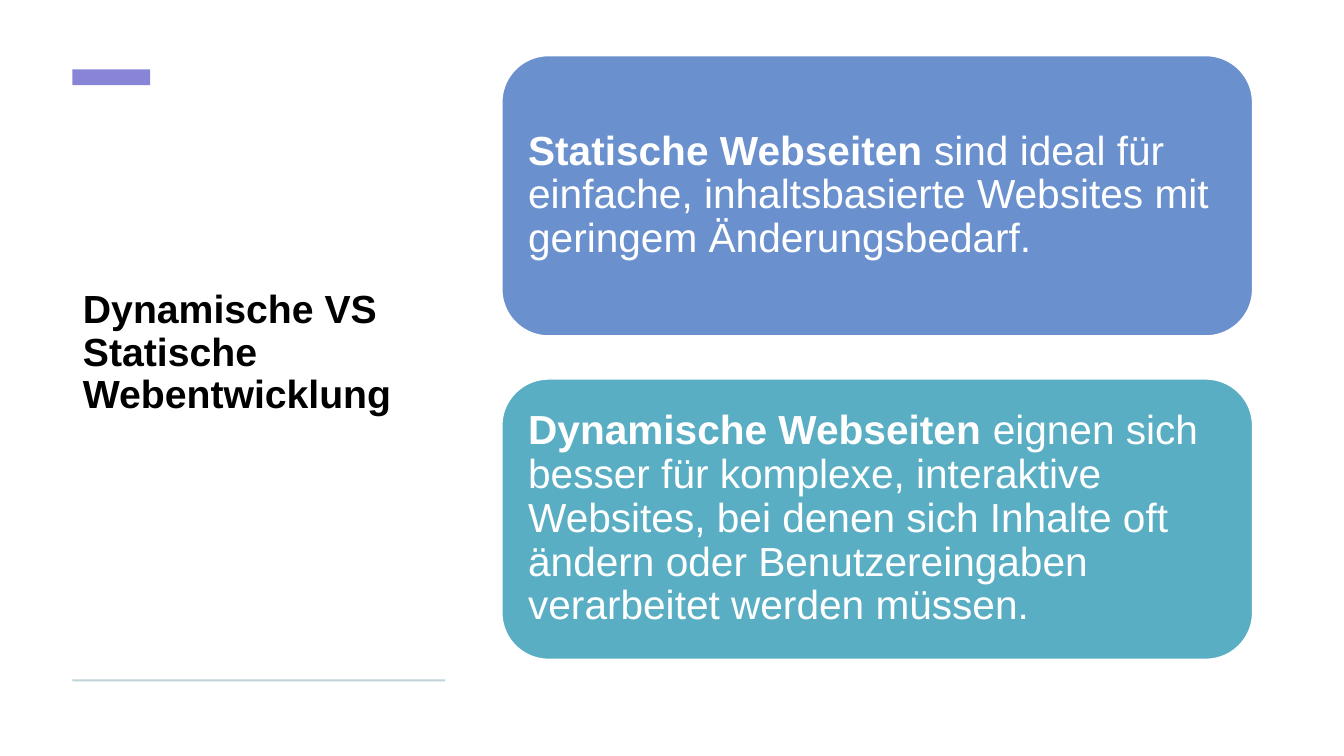
import pptx
import pptx.util
import pptx.dml.color
import pptx.enum.shapes
import pptx.enum.text
from dataclasses import dataclass

PX = 9525
KIND = pptx.enum.shapes.MSO_SHAPE


@dataclass(frozen=True)
class Theme:
    font: str = "Arial"
    white: str = "FFFFFF"
    black: str = "000000"
    accent: str = "8885D7"
    rule: str = "BED3DA"
    blue: str = "6A90CE"
    teal: str = "5AAEC3"
    title: int = 28
    body: int = 29
    edge: int = 1
    lead: float = 0.9


THEME = Theme()


def color(code):
    return pptx.dml.color.RGBColor.from_string(code)


def add_shape(slide, kind, box, fill, edge=None):
    shape = slide.shapes.add_shape(kind, *(n * PX for n in box))
    shape.shadow.inherit = False
    shape.fill.solid()
    shape.fill.fore_color.rgb = color(fill)
    if edge:
        shape.line.color.rgb = color(edge)
        shape.line.width = pptx.util.Pt(THEME.edge)
    else:
        shape.line.fill.background()
    return shape


def set_text(shape, runs, size, tint, inset):
    frame = shape.text_frame
    frame.word_wrap = True
    frame.vertical_anchor = pptx.enum.text.MSO_ANCHOR.MIDDLE
    sides = ("left", "top", "right", "bottom")
    for side, gap in zip(sides, inset):
        setattr(frame, f"margin_{side}", gap * PX)
    para = frame.paragraphs[0]
    para.alignment = pptx.enum.text.PP_ALIGN.LEFT
    para.line_spacing = THEME.lead
    for text, bold in runs:
        run = para.add_run()
        run.text = text
        run.font.name = THEME.font
        run.font.size = pptx.util.Pt(size)
        run.font.bold = bold
        run.font.color.rgb = color(tint)


def add_title(slide, text, box):
    shape = slide.shapes.add_textbox(*(n * PX for n in box))
    set_text(shape, [(text, True)], THEME.title, THEME.black, (10, 5, 10, 53))


def add_card(slide, box, fill, term, text):
    card = add_shape(slide, KIND.ROUNDED_RECTANGLE, box, fill, THEME.white)
    runs = [(term, True), (text, False)]
    set_text(card, runs, THEME.body, THEME.white, (12, 12, 12, 12))


def main():
    deck = pptx.Presentation()
    deck.slide_width = 1280 * PX
    deck.slide_height = 720 * PX
    slide = deck.slides.add_slide(deck.slide_layouts[6])

    left, width = 69, 355
    add_title(slide, "Dynamische VS Statische Webentwicklung",
              (left, 101, width, 519))
    add_shape(slide, KIND.RECTANGLE, (left, 66, 74, 15), THEME.accent)
    add_shape(slide, KIND.RECTANGLE, (left, 647, width, 2), THEME.rule)

    cards = [
        (THEME.blue, "Statische Webseiten",
         " sind ideal für einfache, inhaltsbasierte Websites mit "
         "geringem Änderungsbedarf."),
        (THEME.teal, "Dynamische Webseiten",
         " eignen sich besser für komplexe, interaktive Websites, "
         "bei denen sich Inhalte oft ändern oder Benutzereingaben "
         "verarbeitet werden müssen."),
    ]
    top, high, gap = 53, 267, 41
    for row, (fill, term, text) in enumerate(cards):
        box = (478, top + row * (high + gap), 715, high)
        add_card(slide, box, fill, term, text)

    deck.save("out.pptx")


if __name__ == "__main__":
    main()
